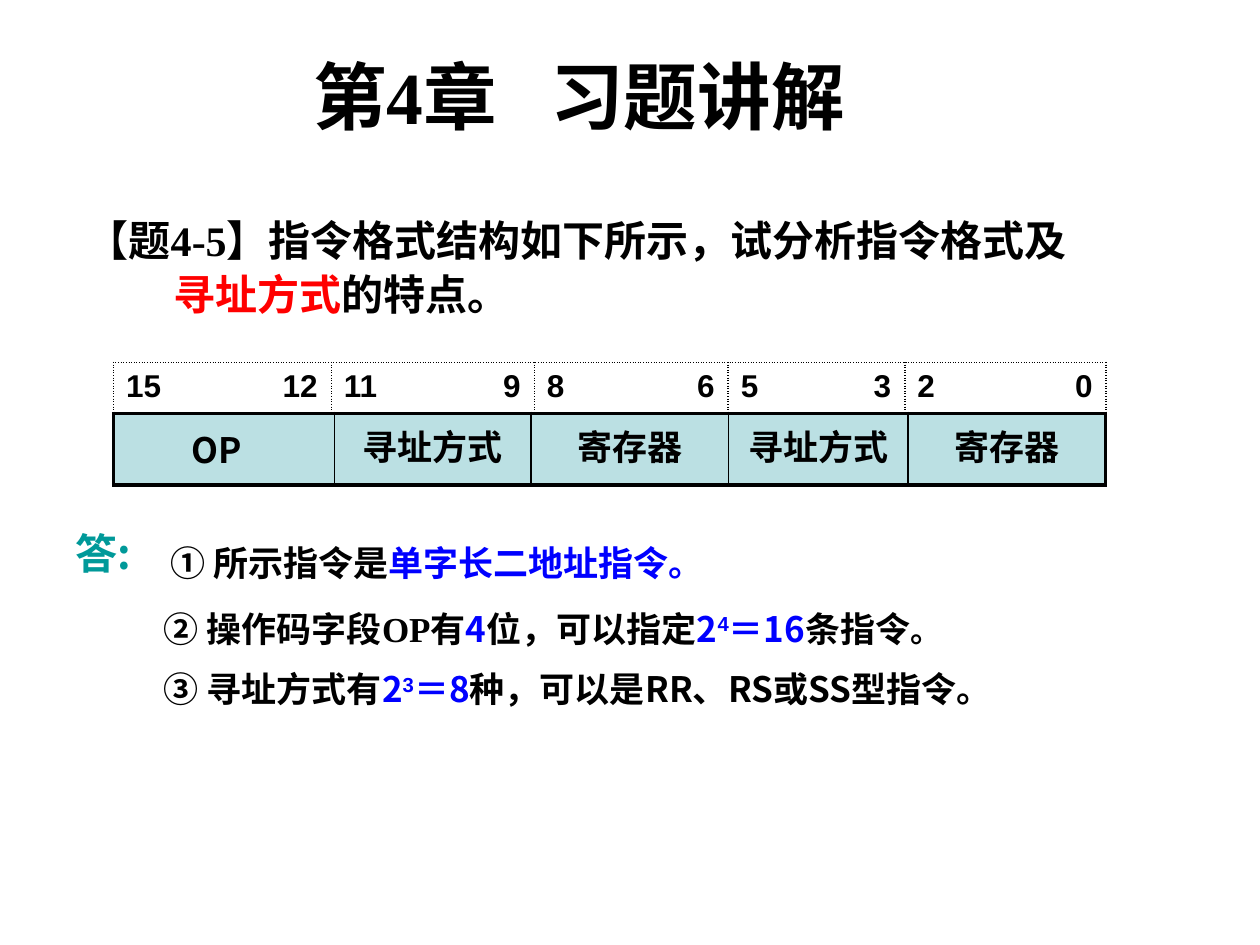
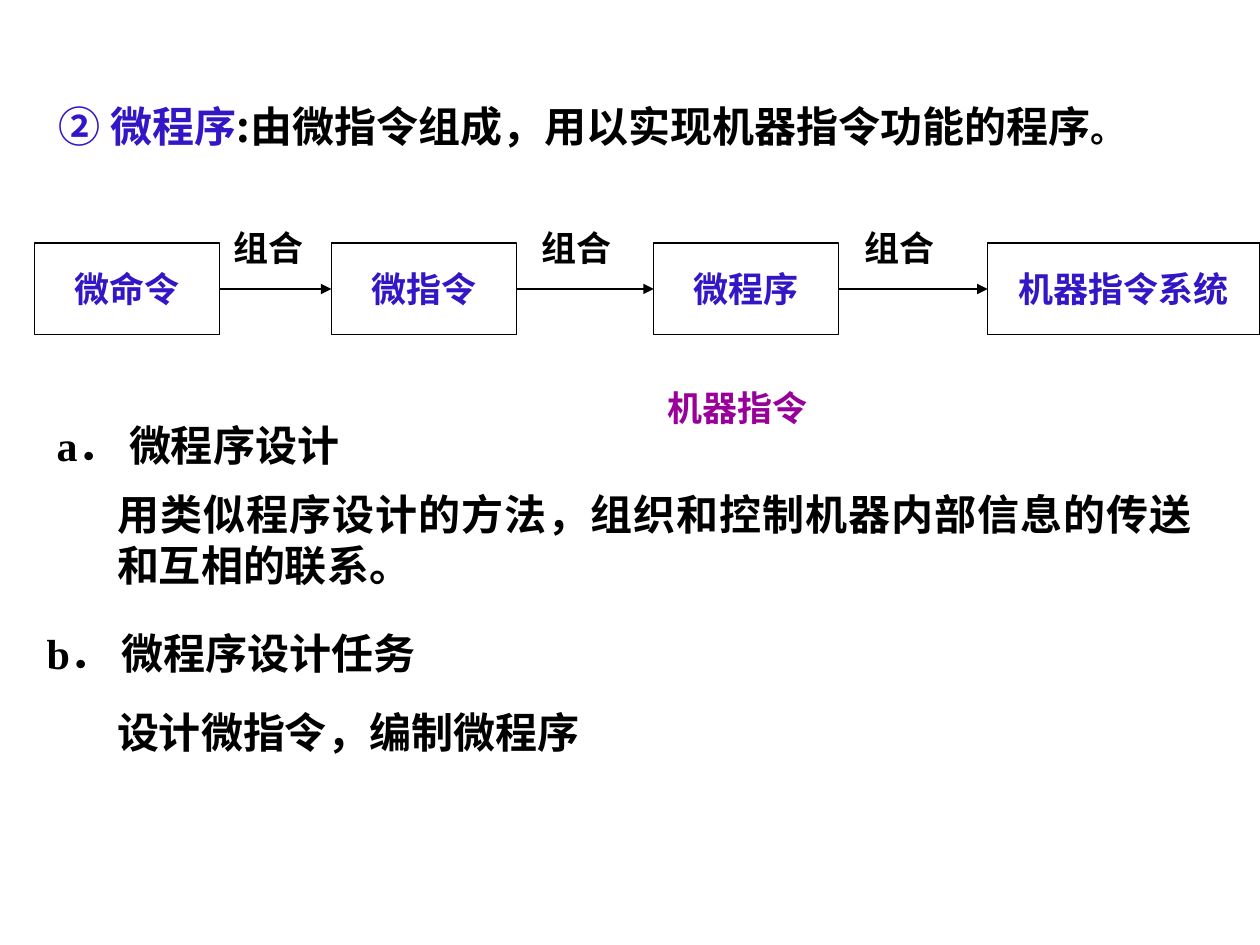
from dataclasses import dataclass
from typing import Optional

from lxml import etree
from pptx import Presentation
from pptx import util as u
from pptx.dml.color import RGBColor
from pptx.enum import shapes, text
from pptx.oxml.ns import qn

SANS, SERIF, ARIAL = "Noto Sans CJK SC", "Times New Roman", "Arial"
BLACK, WHITE, RED, BLUE = "000000", "FFFFFF", "FF0000", "0000FF"
TEAL, VIOLET, PURPLE, PALE_BLUE = "009999", "3316C6", "990099", "BBE0E3"
LEFT, CENTER, JUSTIFY = text.PP_ALIGN.LEFT, text.PP_ALIGN.CENTER, text.PP_ALIGN.JUSTIFY
THIN, THICK = 1, 2.25


@dataclass
class Run:
    text: str
    size: float = 20
    color: str = BLACK
    font: str = SANS
    raised: bool = False
    spacing: int = 0


@dataclass
class Box:
    """Place of a text or rectangle, in centimetres."""
    left: float
    top: float
    width: float
    height: float

    def lengths(self) -> tuple:
        return u.Cm(self.left), u.Cm(self.top), u.Cm(self.width), u.Cm(self.height)


@dataclass
class Field:
    """One column of a table: its width in centimetres and its runs."""
    width: float
    runs: list[Run]


@dataclass
class Stage:
    left: float
    width: float
    name: str
    link_label_left: Optional[float] = None


def rgb(color: str) -> RGBColor:
    return RGBColor.from_string(color)


def write(paragraph, runs: list[Run], align=LEFT) -> None:
    paragraph.alignment = align
    for item in runs:
        run = paragraph.add_run()
        run.text = item.text
        run.font.size, run.font.bold, run.font.name = u.Pt(item.size), True, item.font
        run.font.color.rgb = rgb(item.color)
        properties = run._r.get_or_add_rPr()
        etree.SubElement(properties, qn("a:ea"), typeface=SANS)
        if item.raised:
            properties.set("baseline", "30000")
        if item.spacing:
            properties.set("spc", str(item.spacing * 100))


def add_text(slide, box: Box, *paragraphs: list[Run], align=LEFT):
    frame = slide.shapes.add_textbox(*box.lengths()).text_frame
    frame.word_wrap = True
    for number, runs in enumerate(paragraphs):
        write(frame.add_paragraph() if number else frame.paragraphs[0], runs, align)
    return frame


def set_borders(cell, widths: dict[str, float], dash: str) -> None:
    """Draw the cell's black edges; widths are in points, keyed L, R, T, B."""
    properties = cell._tc.get_or_add_tcPr()
    for place, (side, width) in enumerate(widths.items()):
        line = etree.Element(qn(f"a:ln{side}"), w=str(u.Pt(width)))
        fill = etree.SubElement(line, qn("a:solidFill"))
        etree.SubElement(fill, qn("a:srgbClr"), val=BLACK)
        etree.SubElement(line, qn("a:prstDash"), val=dash)
        properties.insert(place, line)


def add_row_table(slide, top: float, height: float, fields: list[Field], outer: float,
                  dash: str, fill: Optional[str] = None):
    box = Box(2.29, top, sum(field.width for field in fields), height)
    table = slide.shapes.add_table(1, len(fields), *box.lengths()).table
    table.first_row = table.horz_banding = False
    last = len(fields) - 1
    for index, field in enumerate(fields):
        table.columns[index].width = u.Cm(field.width)
        cell = table.cell(0, index)
        write(cell.text_frame.paragraphs[0], field.runs, CENTER)
        if fill:
            cell.fill.solid()
            cell.fill.fore_color.rgb = rgb(fill)
        else:
            cell.fill.background()
        set_borders(cell, {"L": THIN if index else outer, "R": THIN if index < last else outer,
                           "T": outer, "B": outer}, dash)
    return table


def add_right_tab(paragraph, position: float) -> None:
    tabs = etree.SubElement(paragraph._p.get_or_add_pPr(), qn("a:tabLst"))
    etree.SubElement(tabs, qn("a:tab"), pos=str(u.Cm(position)), algn="r")


def add_instruction_format(slide) -> None:
    names = ["寻址方式", "寄存器", "寻址方式", "寄存器"]
    op_code = Field(4.45, [Run("OP"), Run(" ", 28, font=ARIAL)])
    operands = [Field(width, [Run(name)]) for width, name in zip((3.96, 3.99, 3.61, 3.99), names)]
    add_row_table(slide, 8.33, 1.45, [op_code, *operands], THICK, "solid", PALE_BLUE)

    bit_ranges = [(4.39, 15, 12), (4.09, 11, 9), (3.91, 8, 6), (3.56, 5, 3), (4.06, 2, 0)]
    bits = [Field(width, [Run(f"{high}\t{low}", 18, font=ARIAL)]) for width, high, low in bit_ranges]
    ruler = add_row_table(slide, 7.31, 1.02, bits, THIN, "sysDot")
    for index, field in enumerate(bits):
        paragraph = ruler.cell(0, index).text_frame.paragraphs[0]
        paragraph.alignment = LEFT
        add_right_tab(paragraph, field.width - 0.53)


def build_exercise(slide) -> None:
    title = add_text(slide, Box(0.53, 0.64, 22.28, 2.54),
                     [Run("第4章", 42, font=SERIF), Run(" ", 42, font=SERIF, spacing=21),
                      Run("习题讲解", 42)], align=CENTER)
    title.vertical_anchor = text.MSO_ANCHOR.MIDDLE

    question = add_text(slide, Box(1.5, 4.32, 20.8, 2.59),
                        [Run("【题", 24), Run("4-5", 24, font=SERIF),
                         Run("】指令格式结构如下所示，试分析指令格式及", 24)],
                        [Run("寻址方式", 24, RED), Run("的特点。", 24)], align=JUSTIFY)
    for paragraph in question.paragraphs:
        paragraph.line_spacing = 0.9
    continuation = question.paragraphs[1]
    continuation.space_before = u.Pt(5)
    continuation._p.get_or_add_pPr().set("marL", str(u.Cm(1.75)))

    add_instruction_format(slide)

    add_text(slide, Box(1.27, 10.36, 19.84, 1.45), [Run("答:", 24, TEAL), Run(" ", 28, TEAL)])
    add_text(slide, Box(3.18, 10.8, 18.62, 1.09),
             [Run("① 所示指令是"), Run("单字长二地址指令。", color=BLUE)])
    add_text(slide, Box(3.05, 12.12, 19.74, 1.09),
             [Run("② 操作码字段"), Run("OP有", font=SERIF), Run("4", color=BLUE),
              Run("位", font=SERIF), Run("，可以指定"), Run("2", color=BLUE),
              Run("4", color=BLUE, font=ARIAL, raised=True), Run("＝16", color=BLUE),
              Run("条指令"), Run("。", 18)])
    add_text(slide, Box(3.05, 13.34, 19.74, 1.09),
             [Run("③ 寻址方式有"), Run("2", color=BLUE),
              Run("3", color=BLUE, font=ARIAL, raised=True), Run("＝8", color=BLUE),
              Run("种，可以是RR、RS或SS型指令。")])


def add_stage(slide, stage: Stage):
    box = Box(stage.left, 4.9, stage.width, 1.85)
    rectangle = slide.shapes.add_shape(shapes.MSO_SHAPE.RECTANGLE, *box.lengths())
    rectangle.shadow.inherit = False
    rectangle.fill.solid()
    rectangle.fill.fore_color.rgb = rgb(WHITE)
    rectangle.line.color.rgb = rgb(BLACK)
    rectangle.line.width = u.Pt(0.75)
    frame = rectangle.text_frame
    frame.word_wrap = False
    frame.vertical_anchor = text.MSO_ANCHOR.MIDDLE
    write(frame.paragraphs[0], [Run(stage.name, color=VIOLET, font=SERIF)], CENTER)
    return rectangle


def add_arrow(slide, source, target) -> None:
    arrow = slide.shapes.add_connector(shapes.MSO_CONNECTOR.STRAIGHT, 0, 0, 0, 0)
    arrow.begin_connect(source, 3)
    arrow.end_connect(target, 1)
    arrow.line.color.rgb = rgb(BLACK)
    arrow.line.width = u.Pt(0.75)
    etree.SubElement(arrow.line._get_or_add_ln(), qn("a:tailEnd"), type="triangle")
    etree.SubElement(arrow._element.spPr, qn("a:effectLst"))


def build_microprogram(slide) -> None:
    add_text(slide, Box(0.94, 1.91, 24.46, 2.11),
             [Run("② 微程序", 24, VIOLET), Run(":由微指令组成，用以实现机器指令功能的程序", 24),
              Run("。")], align=JUSTIFY)

    stages = [Stage(0.69, 3.73, "微命令", 4.45), Stage(6.68, 3.73, "微指令", 10.67),
              Stage(13.18, 3.73, "微程序", 17.17), Stage(19.91, 5.49, "机器指令系统")]
    rectangles = [add_stage(slide, stage) for stage in stages]
    for source, target in zip(rectangles, rectangles[1:]):
        add_arrow(slide, source, target)
    for stage in stages[:-1]:
        add_text(slide, Box(stage.link_label_left, 4.45, 2.49, 1.09), [Run("组合")])
    add_text(slide, Box(13.21, 7.67, 4.34, 1.09), [Run("机器指令", color=PURPLE)])

    headings = [(Box(0.89, 8.33, 21.92, 2.29), "a． ", "微程序设计"),
                (Box(0.69, 12.52, 23.19, 1.27), "b． ", "微程序设计任务")]
    for box, letter, heading in headings:
        add_text(slide, box, [Run(letter, 24, font=SERIF), Run(heading, 24)], align=JUSTIFY)
    details = [(Box(2.11, 9.73, 22.17, 3.3), "用类似程序设计的方法，组织和控制机器内部信息的传送和互相的联系。"),
               (Box(2.11, 14.12, 21.01, 2.29), "设计微指令，编制微程序")]
    for box, detail in details:
        add_text(slide, box, [Run(detail, 24)], align=JUSTIFY)


def main() -> None:
    deck = Presentation()
    deck.slide_width, deck.slide_height = u.Cm(25.4), u.Cm(19.05)
    for build in (build_exercise, build_microprogram):
        build(deck.slides.add_slide(deck.slide_layouts[6]))
    deck.save("out.pptx")


if __name__ == "__main__":
    main()
